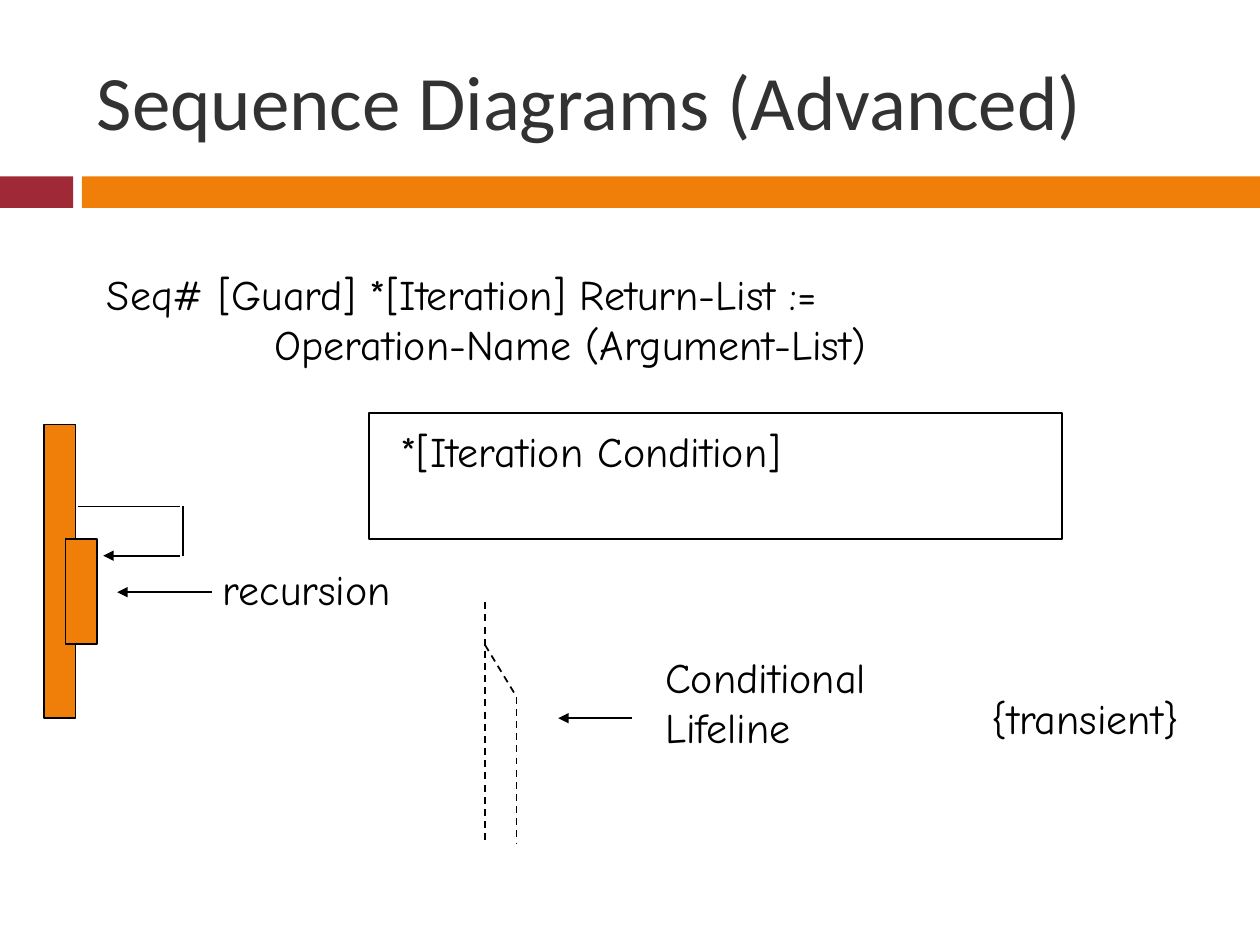
"""Build the slide on advanced sequence diagram notation."""
from lxml import etree
from pptx import Presentation
from pptx.dml.color import RGBColor
from pptx.enum.dml import MSO_LINE
from pptx.enum.shapes import MSO_CONNECTOR, MSO_SHAPE
from pptx.enum.text import MSO_ANCHOR
from pptx.oxml.ns import qn
from pptx.util import Inches, Pt

RECTANGLE = MSO_SHAPE.RECTANGLE
STRAIGHT = MSO_CONNECTOR.STRAIGHT
DASH = MSO_LINE.DASH
MIDDLE = MSO_ANCHOR.MIDDLE
BLACK, ORANGE, RED, GREY = "000000", "F07F09", "9F2936", "323232"


def rgb(value):
    return RGBColor.from_string(value)


def add_text(left, top, width, height, lines, font="Comic Neue", size=24, color=BLACK):
    frame = slide.shapes.add_textbox(
        Inches(left), Inches(top), Inches(width), Inches(height)).text_frame
    frame.word_wrap = True
    frame.text = "\n".join(lines)
    for paragraph in frame.paragraphs:
        paragraph.font.name = font
        paragraph.font.size = Pt(size)
        paragraph.font.color.rgb = rgb(color)
    return frame


prs = Presentation()
prs.slide_width, prs.slide_height = Inches(10), Inches(7.5)
slide = prs.slides.add_slide(prs.slide_layouts[6])

rectangles = [
    (0, 1.4, 0.58, 0.25, RED, False),
    (0.65, 1.4, 9.35, 0.25, ORANGE, False),
    (0.35, 3.37, 0.25, 2.33, ORANGE, True),
    (0.52, 4.28, 0.25, 0.83, ORANGE, True),
    (2.93, 3.28, 5.5, 1, None, True),
]
for left, top, width, height, fill, outlined in rectangles:
    box = slide.shapes.add_shape(
        RECTANGLE, Inches(left), Inches(top), Inches(width), Inches(height))
    box.shadow.inherit = False
    if fill:
        box.fill.solid()
        box.fill.fore_color.rgb = rgb(fill)
    else:
        box.fill.background()
    if outlined:
        box.line.color.rgb = rgb(BLACK)
        box.line.width = Pt(1)
    else:
        box.line.fill.background()

title = add_text(0.67, 0.25, 8.92, 1.08, ["Sequence Diagrams (Advanced)"],
                 "Calibri", 44, GREY)
title.vertical_anchor = MIDDLE

message_syntax = add_text(0.75, 2.08, 6.68, 0.9, [
    "Seq# [Guard] *[Iteration] Return-List :=",
    "Operation-Name (Argument-List)",
])
message_syntax.paragraphs[1]._p.get_or_add_pPr().set("marL", str(Inches(1.33)))

add_text(1.67, 4.42, 1.65, 0.5, ["recursion"])
add_text(3.08, 3.33, 3.62, 0.5, ["*[Iteration Condition]"])
add_text(5.18, 5.12, 1.91, 0.9, ["Conditional", "Lifeline"])
add_text(7.77, 5.45, 1.88, 0.5, ["{transient}"])

lines = [
    (1.68, 4.7, 0.93, 4.7, "arrow"),
    (3.85, 4.78, 3.85, 6.7, "dashed"),
    (3.85, 5.12, 4.1, 5.53, "dashed"),
    (4.1, 5.53, 4.1, 6.7, "dashed"),
    (5.02, 5.7, 4.43, 5.7, "arrow"),
    (0.62, 4.02, 1.43, 4.02, "plain"),
    (1.45, 4.02, 1.45, 4.41, "plain"),
    (1.43, 4.41, 0.82, 4.41, "arrow"),
]
for x1, y1, x2, y2, style in lines:
    connector = slide.shapes.add_connector(
        STRAIGHT, Inches(x1), Inches(y1), Inches(x2), Inches(y2))
    connector.line.color.rgb = rgb(BLACK)
    connector.line.width = Pt(1)
    if style == "dashed":
        connector.line.dash_style = DASH
    if style == "arrow":
        etree.SubElement(connector.line._get_or_add_ln(), qn("a:tailEnd"), type="triangle")
    etree.SubElement(connector._element.spPr, qn("a:effectLst"))

prs.save("out.pptx")
